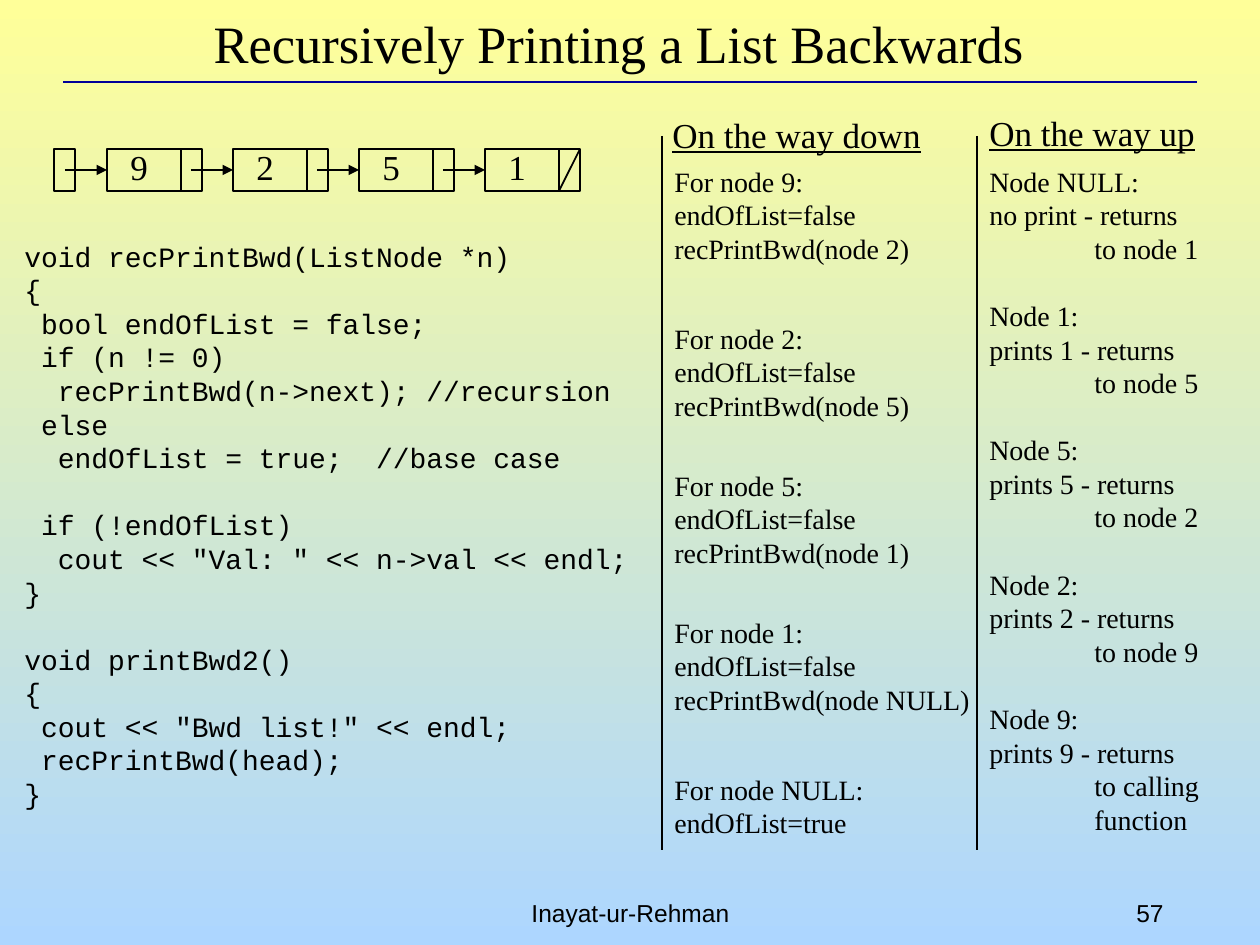
from lxml.etree import SubElement
from pptx import Presentation
from pptx.dml.color import RGBColor
from pptx.enum.shapes import MSO_CONNECTOR, MSO_SHAPE
from pptx.enum.text import MSO_ANCHOR, PP_ALIGN
from pptx.oxml.ns import qn
from pptx.util import Pt

SCALE = 914400 / 126
BLACK = RGBColor(0x00, 0x00, 0x00)
NAVY = RGBColor(0x00, 0x00, 0x99)
YELLOW = RGBColor(0xFF, 0xFF, 0x99)
SKY = RGBColor(0xAD, 0xD6, 0xFF)
SERIF, SANS, MONO = "Times New Roman", "Arial", "Courier New"
LEADING = 1.2

CODE = """void recPrintBwd(ListNode *n)
{
 bool endOfList = false;
 if (n != 0)
  recPrintBwd(n->next); //recursion
 else
  endOfList = true;  //base case

 if (!endOfList)
  cout << "Val: " << n->val << endl;
}

void printBwd2()
{
 cout << "Bwd list!" << endl;
 recPrintBwd(head);
}"""
VALUES = ["9", "2", "5", "1"]
CALLS = [
    (22, "9", "recPrintBwd(node 2)"),
    (179, "2", "recPrintBwd(node 5)"),
    (326, "5", "recPrintBwd(node 1)"),
    (473, "1", "recPrintBwd(node NULL)"),
    (630, "NULL", None),
]
RETURNS = [
    ("NULL", "no print", ["to node 1"]),
    ("1", "prints 1", ["to node 5"]),
    ("5", "prints 5", ["to node 2"]),
    ("2", "prints 2", ["to node 9"]),
    ("9", "prints 9", ["to calling", "function"]),
]


def px(length):
    """Turn pixels into EMU."""
    return round(length * SCALE)


def add_text(slide, left, top, width, height, lines, size, font=SERIF,
             align=PP_ALIGN.LEFT, underline=None, indent=0):
    """Add lines of text; leading spaces become indents and empty lines become gaps."""
    shape = slide.shapes.add_textbox(px(left), px(top), px(width), px(height))
    frame = shape.text_frame
    frame.word_wrap = True
    gap = False
    for line in lines:
        if not line:
            gap = True
            continue
        first = not frame.paragraphs[0].text
        paragraph = frame.paragraphs[0] if first else frame.add_paragraph()
        paragraph.text = line.lstrip(" ")
        paragraph.alignment = align
        paragraph.line_spacing = Pt(size * LEADING)
        if gap:
            paragraph.space_before = Pt(size * LEADING)
        depth = len(line) - len(line.lstrip(" "))
        if depth:
            properties = paragraph._p.get_or_add_pPr()
            properties.set("marL", str(Pt(depth * indent)))
            properties.set("indent", "0")
        paragraph.font.name = font
        paragraph.font.size = Pt(size)
        paragraph.font.color.rgb = BLACK
        paragraph.font.underline = underline
        gap = False
    return shape


def add_line(slide, start, end, color=BLACK, weight=1, arrow=False):
    """Add a straight line, with an arrowhead at its end if asked."""
    line = slide.shapes.add_connector(
        MSO_CONNECTOR.STRAIGHT, *(px(value) for value in (*start, *end)))
    line.line.color.rgb = color
    line.line.width = Pt(weight)
    if arrow:
        SubElement(line.line._get_or_add_ln(), qn("a:tailEnd"), type="triangle")
    SubElement(line._element.spPr, qn("a:effectLst"))


def add_cell(slide, left, top, width, height):
    """Add an outlined cell of the linked list."""
    cell = slide.shapes.add_shape(
        MSO_SHAPE.RECTANGLE, px(left), px(top), px(width), px(height))
    cell.shadow.inherit = False
    cell.fill.background()
    cell.line.color.rgb = BLACK
    cell.line.width = Pt(1)


def add_background(slide):
    """Fill the background from yellow down to sky blue."""
    fill = slide.background.fill
    fill.gradient()
    fill.gradient_angle = 270
    for stop, color in zip(fill.gradient_stops, (YELLOW, SKY)):
        stop.color.rgb = color


def add_header(slide, left, top, width, height):
    """Add the title and the rule under it."""
    add_line(slide, (left, top + 82), (left + width, top + 82), NAVY, 0.75)
    title = add_text(slide, left + 10, top, width - 42, height,
                     ["Recursively Printing a List Backwards"], 30, align=PP_ALIGN.CENTER)
    title.text_frame.vertical_anchor = MSO_ANCHOR.MIDDLE


def add_linked_list(slide, left, top, height):
    """Add the head pointer and its chain of nodes."""
    width, pitch, divider = 95, 126, 74
    middle, bottom = top + height // 2, top + height
    add_cell(slide, left, top, 21, height)
    for index, value in enumerate(VALUES):
        node = left + 53 + index * pitch
        add_cell(slide, node, top, width, height)
        add_line(slide, (node + divider, top), (node + divider, bottom))
        add_text(slide, node + 11, top - 10, 45, 55, [value], 20)
        add_line(slide, (node - 42, middle), (node, middle), arrow=True)
    add_line(slide, (node + width, top), (node + divider, bottom))


def add_calls(slide, left, top, height):
    """Add the column of calls on the way down."""
    add_line(slide, (left, top), (left, top + height))
    add_text(slide, left - 2, top - 29, 285, 55, ["On the way down"], 20, underline=True)
    for offset, node, call in CALLS:
        lines = [f"For node {node}:", f"endOfList={'false' if call else 'true'}"]
        if call:
            lines.append(call)
        add_text(slide, left, top + offset, 328, 38 * len(lines), lines, 16)


def add_returns(slide, left, top, height):
    """Add the column of returns on the way up."""
    add_line(slide, (left, top), (left, top + height))
    add_text(slide, left, top - 31, 245, 55, ["On the way up"], 20, underline=True)
    lines = []
    for node, action, targets in RETURNS:
        lines += ["", f"Node {node}:", f"{action} - returns"]
        lines += [" " + target for target in targets]
    add_text(slide, left, top + 22, 250, 684, lines[1:], 16, indent=60)


def add_footer(slide, top, height):
    """Add the author and the slide number."""
    add_text(slide, 431, top, 399, height, ["Inayat-ur-Rehman"], 14, SANS, PP_ALIGN.CENTER)
    add_text(slide, 882, top, 294, height, ["57"], 14, SANS, PP_ALIGN.RIGHT)


def main():
    """Build and save the slide."""
    presentation = Presentation()
    presentation.slide_width, presentation.slide_height = px(1260), px(945)
    slide = presentation.slides.add_slide(presentation.slide_layouts[6])
    add_background(slide)
    add_header(slide, 63, 0, 1134, 84)
    add_linked_list(slide, 54, 149, 42)
    add_text(slide, 12, 233, 640, 583, CODE.splitlines(), 16, MONO, indent=9.6)
    add_calls(slide, 662, 136, 714)
    add_returns(slide, 977, 136, 714)
    add_footer(slide, 892, 43)
    presentation.save("out.pptx")


if __name__ == "__main__":
    main()
